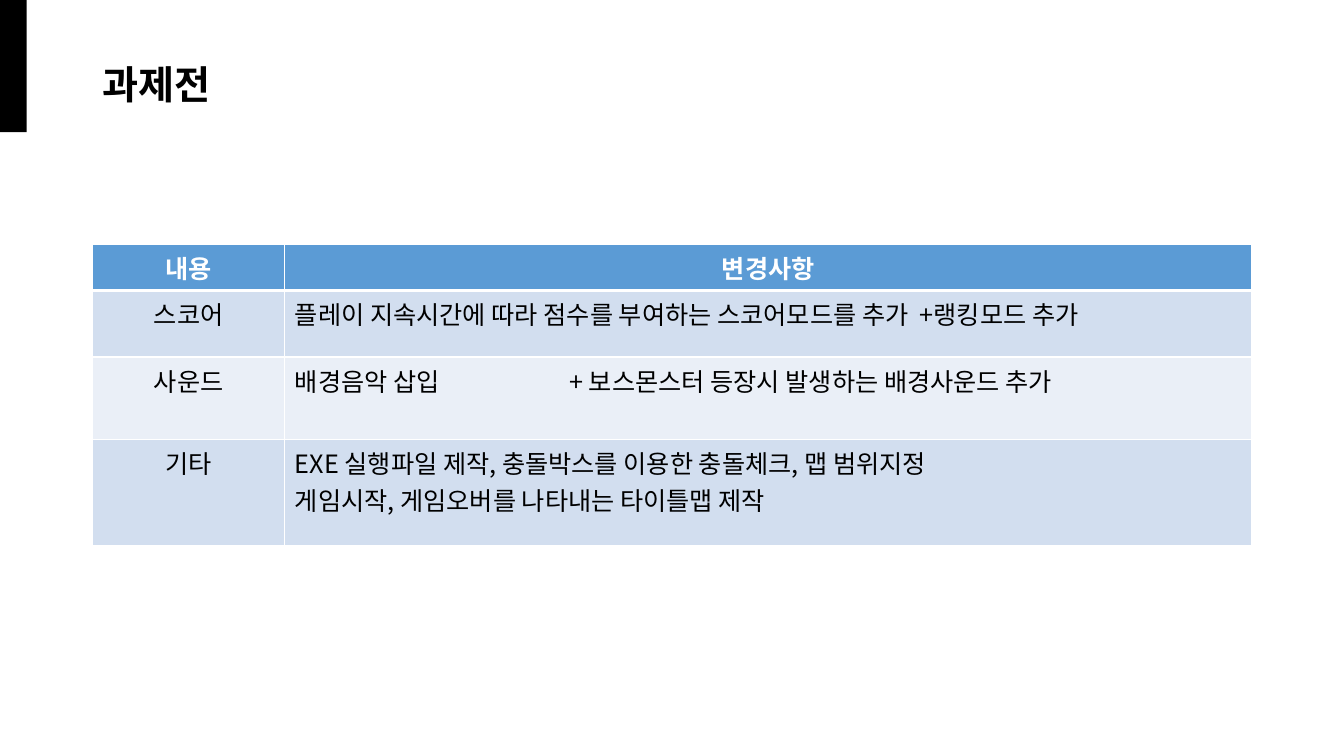
from dataclasses import dataclass
from lxml import etree
from pptx import Presentation
from pptx.dml.color import RGBColor
from pptx.enum.shapes import MSO_SHAPE
from pptx.enum.text import MSO_ANCHOR, PP_ALIGN
from pptx.oxml.ns import qn
from pptx.util import Pt

RECT = MSO_SHAPE.RECTANGLE
MIDDLE = MSO_ANCHOR.MIDDLE
LEFT, CENTER = PP_ALIGN.LEFT, PP_ALIGN.CENTER


@dataclass(frozen=True)
class Theme:
    font: str = "Noto Sans CJK KR"
    black: str = "000000"
    white: str = "FFFFFF"
    head: str = "5B9BD5"
    bands: tuple = ("D2DEEF", "EAEFF7")
    title: int = 28
    body: int = 18


def color(code):
    return RGBColor.from_string(code)


def write(frame, text, *, font, size, ink, bold=False, align=LEFT,
          spacing=None, tab=None):
    """Fill a text frame, one paragraph per line of text."""
    frame.text = text
    for para in frame.paragraphs:
        para.alignment = align
        if spacing:
            para.line_spacing = spacing
        if tab and "\t" in para.text:
            stops = etree.SubElement(para._p.get_or_add_pPr(), qn("a:tabLst"))
            etree.SubElement(stops, qn("a:tab"), pos=str(Pt(tab)), algn="l")
        for run in para.runs:
            run.font.name = font
            run.font.size = Pt(size)
            run.font.bold = bold
            run.font.color.rgb = color(ink)
            east = etree.SubElement(run._r.get_or_add_rPr(), qn("a:ea"))
            east.set("typeface", font)


class Page:
    def __init__(self, deck, theme):
        self.theme = theme
        self.slide = deck.slides.add_slide(deck.slide_layouts[5])

    def bar(self, *box):
        shape = self.slide.shapes.add_shape(RECT, *map(Pt, box))
        shape.shadow.inherit = False
        shape.fill.solid()
        shape.fill.fore_color.rgb = color(self.theme.black)
        shape.line.fill.background()

    def title(self, text, *box):
        holder = self.slide.shapes.title
        holder.left, holder.top, holder.width, holder.height = map(Pt, box)
        holder.text_frame.vertical_anchor = MIDDLE
        write(holder.text_frame, text, font=self.theme.font, bold=True,
              size=self.theme.title, ink=self.theme.black, spacing=0.9)

    def border(self, cell, side, width):
        line = etree.SubElement(cell._tc.get_or_add_tcPr(), qn(f"a:ln{side}"),
                                w=str(Pt(width)))
        fill = etree.SubElement(line, qn("a:solidFill"))
        etree.SubElement(fill, qn("a:srgbClr"), val=self.theme.white)

    def table(self, rows, left, top, widths, heights, tab):
        look = self.theme
        box = map(Pt, (left, top, sum(widths), sum(heights)))
        grid = self.slide.shapes.add_table(
            len(rows), len(widths), *box).table
        for col, width in zip(grid.columns, widths):
            col.width = Pt(width)
        for r, (row, height) in enumerate(zip(rows, heights)):
            grid.rows[r].height = Pt(height)
            head = r == 0
            for c, text in enumerate(row):
                cell = grid.cell(r, c)
                # Borders come before the fill in the cell's properties
                for side in "LRTB":
                    self.border(cell, side, 3 if head and side == "B" else 1)
                cell.fill.solid()
                cell.fill.fore_color.rgb = color(
                    look.head if head else look.bands[(r - 1) % 2])
                write(cell.text_frame, text, font=look.font, size=look.body,
                      ink=look.white if head else look.black, bold=head,
                      align=CENTER if head or c == 0 else LEFT, tab=tab)


def main():
    deck = Presentation()
    deck.slide_width, deck.slide_height = Pt(960), Pt(540)
    page = Page(deck, Theme())

    # Title with its corner bar
    page.bar(0, 0, 19, 94.5)
    page.title("과제전", 66, 29, 828, 65.5)

    # Table of changes
    rows = [
        ("내용", "변경사항"),
        ("스코어", "플레이 지속시간에 따라 점수를 부여하는 스코어모드를 추가  +랭킹모드 추가"),
        ("사운드", "배경음악 삽입\t+ 보스몬스터 등장시 발생하는 배경사운드 추가"),
        ("기타", "EXE 실행파일 제작, 충돌박스를 이용한 충돌체크, 맵 범위지정\n"
                "게임시작, 게임오버를 나타내는 타이틀맵 제작"),
    ]
    page.table(rows, 66, 174.25, widths=(137.5, 690.5),
               heights=(31, 47.5, 59, 75.5), tab=196)

    deck.save("out.pptx")


if __name__ == "__main__":
    main()
